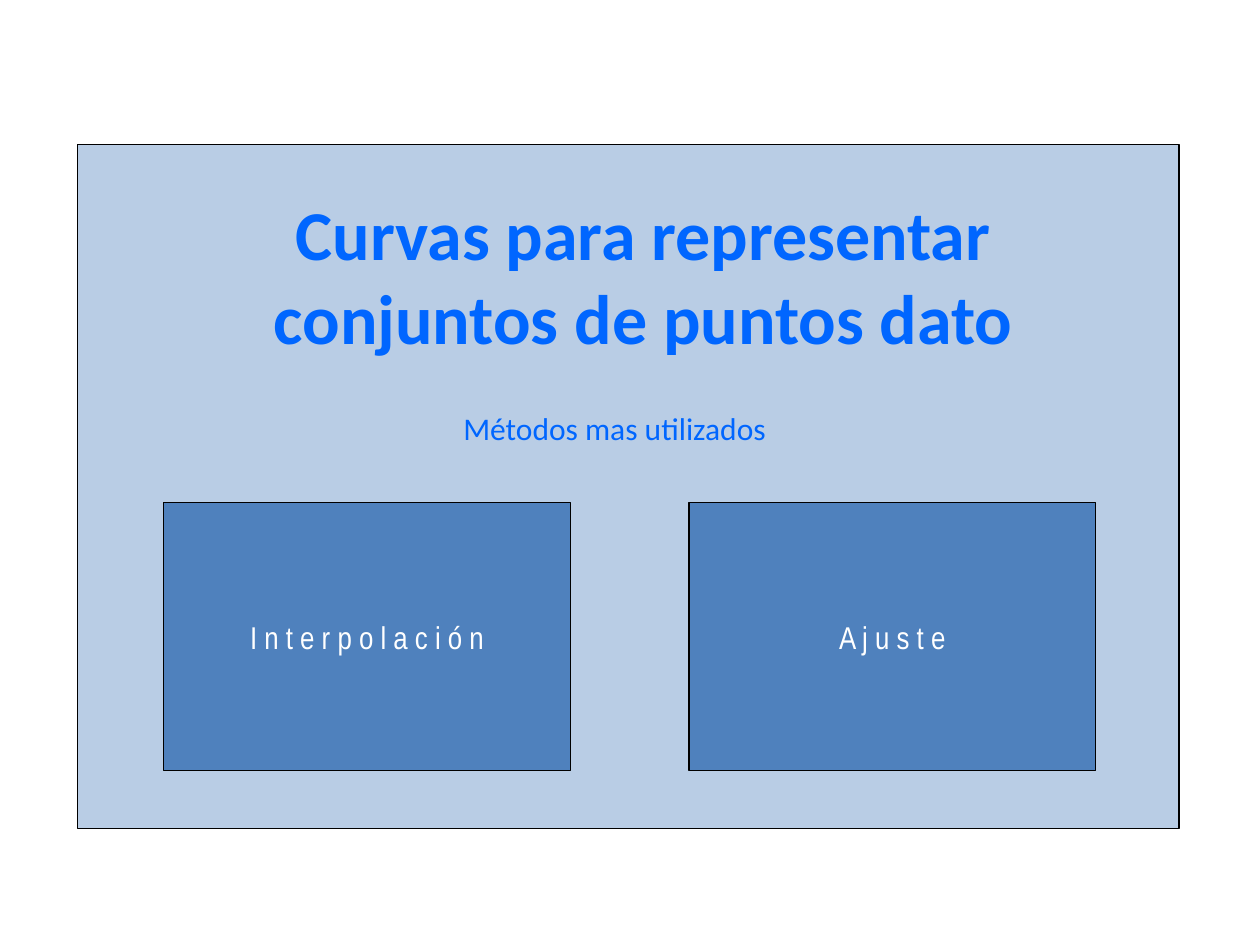
from pptx import Presentation
from pptx.dml.color import RGBColor
from pptx.enum.shapes import MSO_SHAPE
from pptx.enum.text import MSO_ANCHOR, PP_ALIGN
from pptx.util import Cm, Pt

PALE_BLUE = RGBColor(0xB9, 0xCD, 0xE5)
MID_BLUE = RGBColor(0x4F, 0x81, 0xBD)
BRIGHT_BLUE = RGBColor(0x00, 0x66, 0xFF)
BLACK = RGBColor(0x00, 0x00, 0x00)
WHITE = RGBColor(0xFF, 0xFF, 0xFF)

METHODS = ["I n t e r p o l a c i ó n", "A j u s t e"]


def add_box(slide, left, top, width, height, fill):
    box = slide.shapes.add_shape(
        MSO_SHAPE.RECTANGLE, Cm(left), Cm(top), Cm(width), Cm(height))
    box.shadow.inherit = False
    box.fill.solid()
    box.fill.fore_color.rgb = fill
    box.line.color.rgb = BLACK
    box.line.width = Pt(0.75)
    return box


def write(frame, text, font, size, color, align, bold=False, wrap=False):
    frame.word_wrap = wrap
    paragraph = frame.paragraphs[0]
    paragraph.alignment = align
    run = paragraph.add_run()
    run.text = text
    run.font.name = font
    run.font.size = Pt(size)
    run.font.bold = bold
    run.font.color.rgb = color


def add_methods(slide, left, top, width, height):
    """One box per method, at the two ends of the given row."""
    box_width = 8.2
    pitch = (width - box_width) / (len(METHODS) - 1)
    for index, name in enumerate(METHODS):
        method = add_box(slide, left + index * pitch, top,
                         box_width, height, MID_BLUE)
        method.text_frame.vertical_anchor = MSO_ANCHOR.MIDDLE
        write(method.text_frame, name, "Arial Narrow", 18, WHITE,
              PP_ALIGN.CENTER)


def add_headings(slide, left, top):
    # Subtitle
    subtitle = slide.shapes.add_textbox(
        Cm(left + 6.4), Cm(top + 4.42), Cm(7.14), Cm(1.02))
    write(subtitle.text_frame, "Métodos mas utilizados", "Calibri", 18,
          BRIGHT_BLUE, PP_ALIGN.LEFT)

    # Title, with side margins that keep it on two lines
    title = slide.shapes.add_textbox(Cm(left), Cm(top), Cm(20.55), Cm(3.68))
    title.text_frame.margin_left = title.text_frame.margin_right = Cm(0.4)
    write(title.text_frame, "Curvas para representar conjuntos de puntos dato",
          "Calibri", 40, BRIGHT_BLUE, PP_ALIGN.CENTER, bold=True, wrap=True)


def add_panel(slide, left, top, width, height):
    add_box(slide, left, top, width, height, PALE_BLUE)
    add_methods(slide, left + 1.73, top + 7.21, 18.79, 5.41)
    add_headings(slide, left + 1.12, top + 0.79)


def main():
    presentation = Presentation()
    presentation.slide_width = Cm(25.4)
    presentation.slide_height = Cm(19.05)
    slide = presentation.slides.add_slide(presentation.slide_layouts[6])
    add_panel(slide, 1.57, 2.92, 22.2, 13.79)
    presentation.save("out.pptx")


if __name__ == "__main__":
    main()
